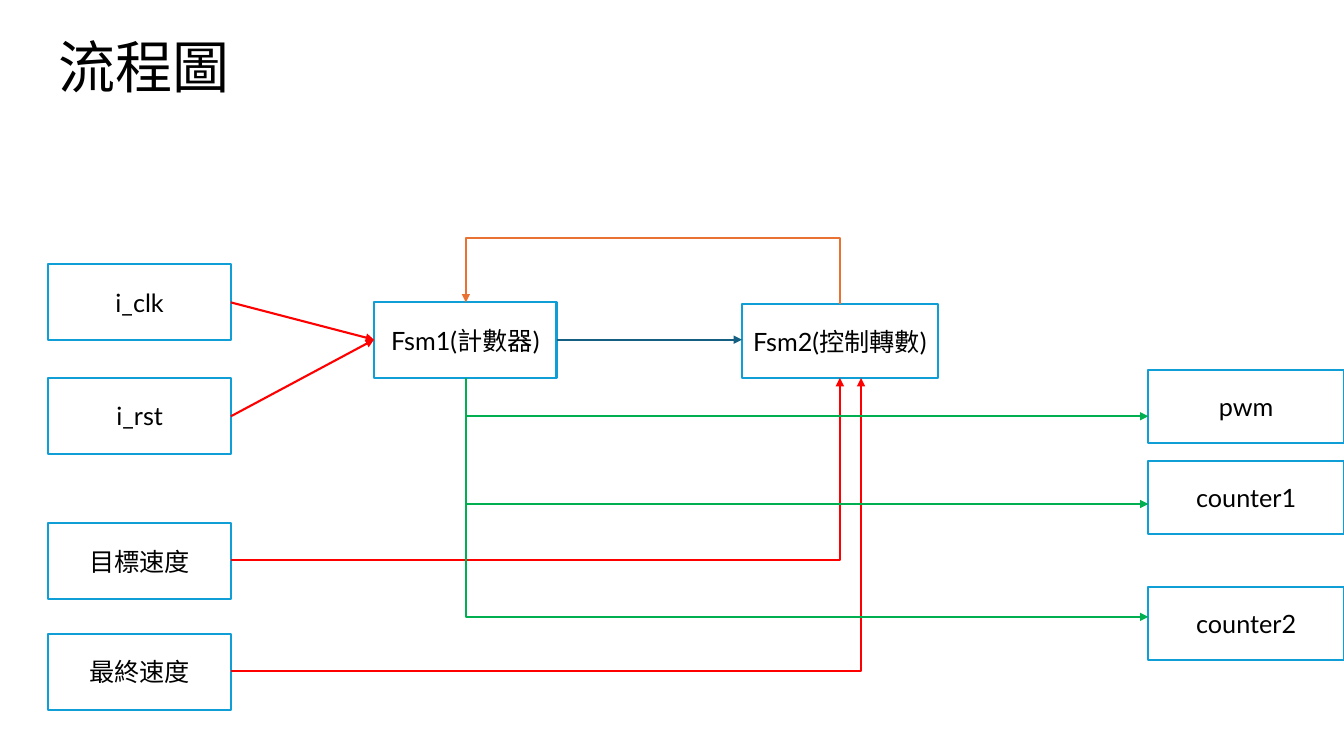
from lxml.etree import SubElement
from pptx import Presentation
from pptx.dml.color import RGBColor
from pptx.enum.shapes import MSO_CONNECTOR, MSO_SHAPE
from pptx.enum.text import MSO_ANCHOR, MSO_AUTO_SIZE, PP_ALIGN
from pptx.oxml.ns import qn
from pptx.util import Inches, Pt

TITLE = "流程圖"
FONT = "Lato"
BLACK, WHITE, BLUE = "000000", "FFFFFF", "0F9ED5"
RED, GREEN, ORANGE, TEAL = "FF0000", "00B050", "E97132", "156082"
IN_X, IN_W, IN_H = 0.48, 1.81, 0.75
OUT_X, OUT_W, OUT_H = 11.39, 1.94, 0.73
FSM1 = ("Fsm1(計數器)", 3.71, 3, IN_W, IN_H)
FSM2 = ("Fsm2(控制轉數)", 7.36, 3.02, OUT_W, OUT_H)
INPUTS = [("i_clk", 2.62), ("i_rst", 3.75), ("目標速度", 5.19), ("最終速度", 6.29)]
OUTPUTS = [("pwm", 3.67), ("counter1", 4.57), ("counter2", 5.82)]

IN_END = IN_X + IN_W
MID1, MID2 = 4.62, 8.33
BASE, FLOW = 3.75, 3.37
LOOP = 0.66
STRAIGHT = [
    ((IN_END, 3), (FSM1[1], FLOW), RED),
    ((IN_END, 4.13), (FSM1[1], FLOW), RED),
    ((FSM1[1] + IN_W, FLOW), (FSM2[1], FLOW), TEAL),
]
RISING = [(5.56, MID2), (6.66, 8.54)]
FALLING = [(BASE, 5), (4.58, 6.12), (BASE, 4.13)]


def color(text):
    return RGBColor.from_string(text)


def style(par, size):
    par.font.name = FONT
    par.font.size = Pt(size)
    par.font.color.rgb = color(BLACK)


def box(slide, text, left, top, width, height):
    rect = slide.shapes.add_shape(
        MSO_SHAPE.RECTANGLE, Inches(left), Inches(top), Inches(width), Inches(height))
    rect.shadow.inherit = False
    rect.fill.solid()
    rect.fill.fore_color.rgb = color(WHITE)
    rect.line.color.rgb = color(BLUE)
    rect.line.width = Pt(1.5)
    frame = rect.text_frame
    frame.word_wrap = True
    frame.vertical_anchor = MSO_ANCHOR.MIDDLE
    par = frame.paragraphs[0]
    par.text = text
    par.alignment = PP_ALIGN.CENTER
    style(par, 18)


def arrow(slide, start, end, paint, kind=MSO_CONNECTOR.STRAIGHT):
    link = slide.shapes.add_connector(kind, *(Inches(v) for v in (*start, *end)))
    link.line.color.rgb = color(paint)
    link.line.width = Pt(1.5)
    SubElement(link.line._get_or_add_ln(), qn("a:tailEnd"), type="triangle")
    props = link._element.spPr
    SubElement(props, qn("a:effectLst"))
    return props


def bend(slide, start, end, paint, turn=False, rise=None):
    if turn:
        mid_x, mid_y = ((a + b) / 2 for a, b in zip(start, end))
        start, end = [(mid_x + mid_y - y, mid_y + x - mid_x) for x, y in (start, end)]
    props = arrow(slide, start, end, paint, MSO_CONNECTOR.ELBOW)
    if turn:
        props.find(qn("a:xfrm")).set("rot", str(270 * 60000))
    shape = props.find(qn("a:prstGeom"))
    if rise is None:
        shape.set("prst", "bentConnector2")
    else:
        ratio = round(rise / abs(end[0] - start[0]) * 100000)
        SubElement(shape.find(qn("a:avLst")), qn("a:gd"), name="adj1", fmla=f"val {ratio}")


def main():
    deck = Presentation()
    deck.slide_width, deck.slide_height = Inches(13.33), Inches(7.5)
    slide = deck.slides.add_slide(deck.slide_layouts[5])

    title = slide.shapes.title
    title.left, title.top = Inches(0.48), Inches(0.38)
    title.width, title.height = Inches(3.05), Inches(0.68)
    frame = title.text_frame
    frame.auto_size = MSO_AUTO_SIZE.NONE
    frame.vertical_anchor = MSO_ANCHOR.MIDDLE
    par = frame.paragraphs[0]
    par.text = TITLE
    par.alignment = PP_ALIGN.LEFT
    par.line_spacing = 0.8
    style(par, 40.7)

    for text, top in INPUTS:
        box(slide, text, IN_X, top, IN_W, IN_H)
    for text, top in OUTPUTS:
        box(slide, text, OUT_X, top, OUT_W, OUT_H)
    for state in (FSM1, FSM2):
        box(slide, *state)

    for start, end, paint in STRAIGHT:
        arrow(slide, start, end, paint)
    for y, x in RISING:
        bend(slide, (IN_END, y), (x, BASE), RED)
    bend(slide, (MID2, FSM2[2]), (MID1, FSM1[2]), ORANGE, turn=True, rise=LOOP)
    for top, y in FALLING:
        bend(slide, (MID1, top), (OUT_X, y), GREEN, turn=True)

    deck.save("out.pptx")


if __name__ == "__main__":
    main()
